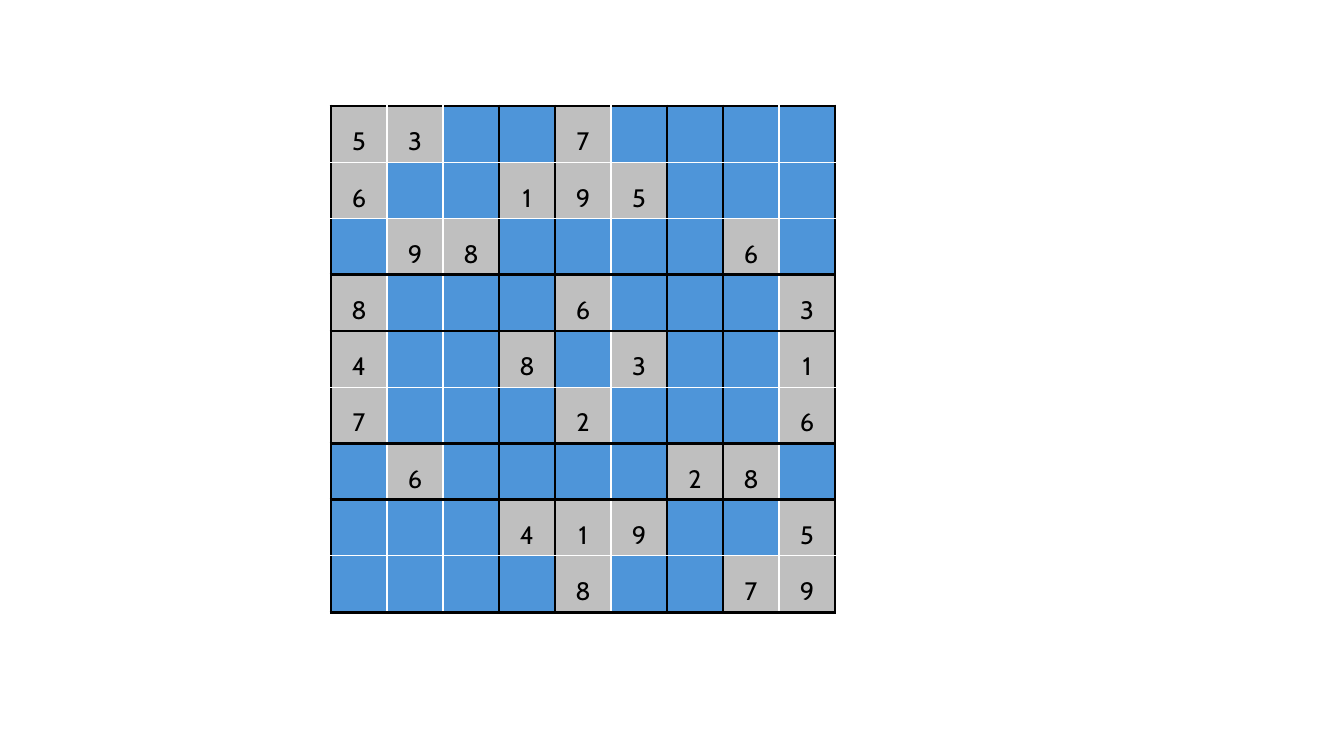
from dataclasses import dataclass
from lxml.etree import SubElement
from pptx import Presentation
from pptx.dml.color import RGBColor
from pptx.enum.text import PP_ALIGN
from pptx.oxml.ns import qn
from pptx.util import Pt


@dataclass(frozen=True)
class Theme:
    given: str = "BFBFBF"
    blank: str = "4E95D9"
    ink: str = "000000"
    font: str = "Cabin"
    size: int = 18
    rule: float = 2.25
    lead: float = 1.5


THEME = Theme()
SCALE = 9071
LEFT, TOP, SIDE = 331, 106, 56
BOX = 3
PUZZLE = (
    "53..7....",
    "6..195...",
    ".98....6.",
    "8...6...3",
    "4..8.3..1",
    "7...2...6",
    ".6....28.",
    "...419..5",
    "....8..79",
)


def px(count):
    return count * SCALE


def edge(cell, side):
    line = SubElement(cell._tc.get_or_add_tcPr(), qn(f"a:ln{side}"))
    line.set("w", str(Pt(THEME.rule)))
    fill = SubElement(line, qn("a:solidFill"))
    SubElement(fill, qn("a:srgbClr")).set("val", THEME.ink)


def frame(cell, row, col):
    sides = {
        "L": col % BOX == 0,
        "R": col % BOX == BOX - 1,
        "T": row % BOX == 0,
        "B": row % BOX == BOX - 1,
    }
    for side, dark in sides.items():
        if dark:
            edge(cell, side)


def paint(cell, color):
    cell.fill.solid()
    cell.fill.fore_color.rgb = RGBColor.from_string(color)


def write(cell, digit):
    para = cell.text_frame.paragraphs[0]
    para.text = digit
    para.alignment = PP_ALIGN.CENTER
    para.line_spacing = THEME.lead
    font = para.runs[0].font
    font.name = THEME.font
    font.size = Pt(THEME.size)
    font.color.rgb = RGBColor.from_string(THEME.ink)


def draw(slide):
    count = len(PUZZLE)
    span = px(SIDE * count)
    grid = slide.shapes.add_table(count, count, px(LEFT), px(TOP), span, span).table
    grid.first_row = False
    grid.horz_banding = False
    for band in grid.columns:
        band.width = px(SIDE)
    for band in grid.rows:
        band.height = px(SIDE)
    for row, digits in enumerate(PUZZLE):
        for col, digit in enumerate(digits):
            cell = grid.cell(row, col)
            frame(cell, row, col)
            if digit == ".":
                paint(cell, THEME.blank)
            else:
                paint(cell, THEME.given)
                write(cell, digit)


def main():
    deck = Presentation()
    deck.slide_width = px(1344)
    deck.slide_height = px(756)
    draw(deck.slides.add_slide(deck.slide_layouts[6]))
    deck.save("out.pptx")


if __name__ == "__main__":
    main()
